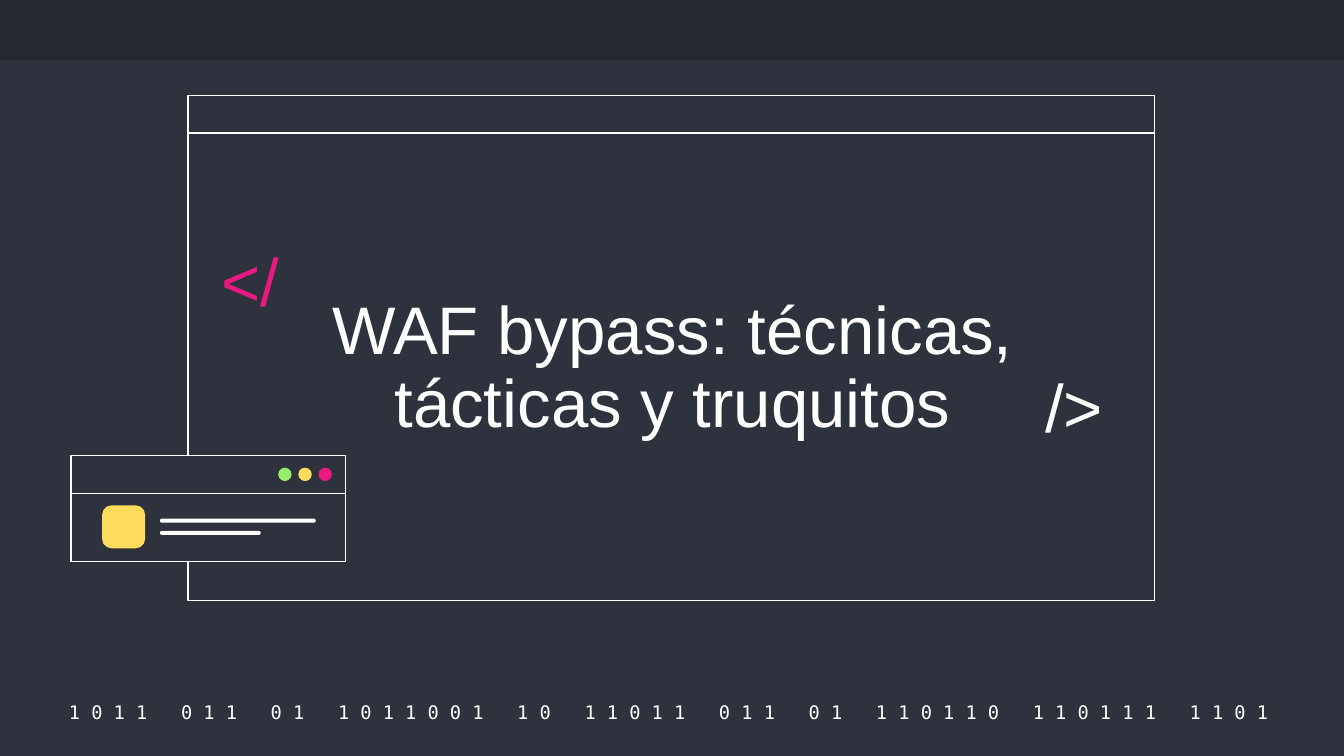
from typing import NamedTuple, Optional

from pptx import Presentation
from pptx.dml.color import RGBColor
from pptx.enum.shapes import MSO_SHAPE
from pptx.enum.text import MSO_ANCHOR, MSO_AUTO_SIZE, PP_ALIGN
from pptx.shapes.autoshape import Shape
from pptx.shapes.shapetree import GroupShapes, SlideShapes
from pptx.slide import Slide
from pptx.text.text import TextFrame
from pptx.util import Inches, Pt

BACKGROUND = RGBColor(0x2D, 0x32, 0x3C)
TOP_BAR = RGBColor(0x24, 0x28, 0x30)
WHITE = RGBColor(0xFF, 0xFF, 0xFF)
PINK = RGBColor(0xE8, 0x19, 0x81)
YELLOW = RGBColor(0xFF, 0xDB, 0x5D)
GREEN = RGBColor(0x94, 0xEE, 0x6B)

SLIDE_WIDTH = 10
SLIDE_HEIGHT = SLIDE_WIDTH * 9 / 16
BINARY_GROUPS = "1011 011 01 1011001 10 11011 011 01 110110 110111 1101".split()
GROUP_GAP_SPACING = "1204"


class Box(NamedTuple):
    left: float
    top: float
    width: float
    height: float


class Block(NamedTuple):
    kind: MSO_SHAPE
    box: Box
    fill: RGBColor
    line: Optional[RGBColor] = None
    rounding: Optional[float] = None


class Bracket(NamedTuple):
    text: str
    left: float
    top: float
    color: RGBColor


LARGE_WINDOW = [
    Block(MSO_SHAPE.RECTANGLE, Box(1.4, 0.71, 7.19, 3.76), BACKGROUND, WHITE),
    Block(MSO_SHAPE.RECTANGLE, Box(1.4, 0.71, 7.19, 0.28), BACKGROUND, WHITE),
]
SMALL_WINDOW = [
    Block(MSO_SHAPE.RECTANGLE, Box(0.53, 3.67, 2.04, 0.51), BACKGROUND, WHITE),
    Block(MSO_SHAPE.RECTANGLE, Box(0.53, 3.39, 2.04, 0.28), BACKGROUND, WHITE),
    Block(MSO_SHAPE.ROUNDED_RECTANGLE, Box(0.76, 3.76, 0.32, 0.32), YELLOW, rounding=0.22),
    Block(MSO_SHAPE.ROUNDED_RECTANGLE, Box(1.19, 3.86, 1.16, 0.03), WHITE, rounding=0.5),
    Block(MSO_SHAPE.ROUNDED_RECTANGLE, Box(1.19, 3.95, 0.75, 0.03), WHITE, rounding=0.5),
] + [
    Block(MSO_SHAPE.OVAL, Box(2.07 + 0.15 * index, 3.48, 0.1, 0.1), color)
    for index, color in enumerate((GREEN, YELLOW, PINK))
]
BRACKETS = [Bracket("</", 1.55, 1.79, PINK), Bracket("/>", 7.68, 2.73, WHITE)]


def add_block(shapes: SlideShapes | GroupShapes, block: Block) -> Shape:
    shape = shapes.add_shape(block.kind, *map(Inches, block.box))
    shape.shadow.inherit = False
    shape.fill.solid()
    shape.fill.fore_color.rgb = block.fill
    if block.line is None:
        shape.line.fill.background()
    else:
        shape.line.color.rgb = block.line
        shape.line.width = Pt(0.75)
    if block.rounding is not None:
        shape.adjustments[0] = block.rounding
    return shape


def add_window(slide: Slide, blocks: list[Block]) -> None:
    group = slide.shapes.add_group_shape()
    for block in blocks:
        add_block(group.shapes, block)


def prepare_frame(frame: TextFrame, anchor: MSO_ANCHOR) -> None:
    frame.word_wrap = True
    frame.auto_size = MSO_AUTO_SIZE.NONE
    frame.vertical_anchor = anchor
    frame.margin_left = frame.margin_right = Inches(0.1)
    frame.margin_top = frame.margin_bottom = Inches(0.1)


def write_display_text(
    frame: TextFrame, text: str, color: RGBColor, alignment: PP_ALIGN, anchor: MSO_ANCHOR
) -> None:
    prepare_frame(frame, anchor)
    paragraph = frame.paragraphs[0]
    paragraph.text = text
    paragraph.alignment = alignment
    paragraph.line_spacing = 0.9
    paragraph.space_before = Pt(0)
    paragraph.font.name = "Arial"
    paragraph.font.size = Pt(36)
    paragraph.font.color.rgb = color


def add_binary_line(slide: Slide) -> None:
    text_box = slide.shapes.add_textbox(*map(Inches, Box(0.38, 5.2, 9.27, 0.2)))
    frame = text_box.text_frame
    prepare_frame(frame, MSO_ANCHOR.MIDDLE)
    frame.margin_right = Inches(0.18)
    paragraph = frame.paragraphs[0]
    paragraph.alignment = PP_ALIGN.CENTER
    for index, digits in enumerate(BINARY_GROUPS):
        if index:
            gap = paragraph.add_run()
            gap.text = " "
            gap.font._element.set("spc", GROUP_GAP_SPACING)
        paragraph.add_run().text = " ".join(digits)
    paragraph.font.name = "DejaVu Sans Mono"
    paragraph.font.size = Pt(10)
    paragraph.font.color.rgb = WHITE


def add_bracket(slide: Slide, bracket: Bracket) -> None:
    box = Box(bracket.left, bracket.top, 0.77, 0.66)
    text_box = slide.shapes.add_textbox(*map(Inches, box))
    write_display_text(
        text_box.text_frame, bracket.text, bracket.color, PP_ALIGN.LEFT, MSO_ANCHOR.MIDDLE
    )


def place_title(slide: Slide, text: str) -> None:
    title = slide.shapes.title
    title.left, title.top, title.width, title.height = map(Inches, Box(2.26, 1.41, 5.49, 1.98))
    write_display_text(title.text_frame, text, WHITE, PP_ALIGN.CENTER, MSO_ANCHOR.BOTTOM)
    slide.shapes.element.append(title.element)


def main() -> None:
    presentation = Presentation()
    presentation.slide_width = Inches(SLIDE_WIDTH)
    presentation.slide_height = Inches(SLIDE_HEIGHT)
    slide = presentation.slides.add_slide(presentation.slide_layouts[5])
    slide.background.fill.solid()
    slide.background.fill.fore_color.rgb = BACKGROUND

    add_block(slide.shapes, Block(MSO_SHAPE.RECTANGLE, Box(0, 0, SLIDE_WIDTH, 0.45), TOP_BAR))
    add_binary_line(slide)
    add_window(slide, LARGE_WINDOW)
    for bracket in BRACKETS:
        add_bracket(slide, bracket)
    place_title(slide, "WAF bypass: técnicas, tácticas y truquitos")
    add_window(slide, SMALL_WINDOW)
    presentation.save("out.pptx")


if __name__ == "__main__":
    main()
